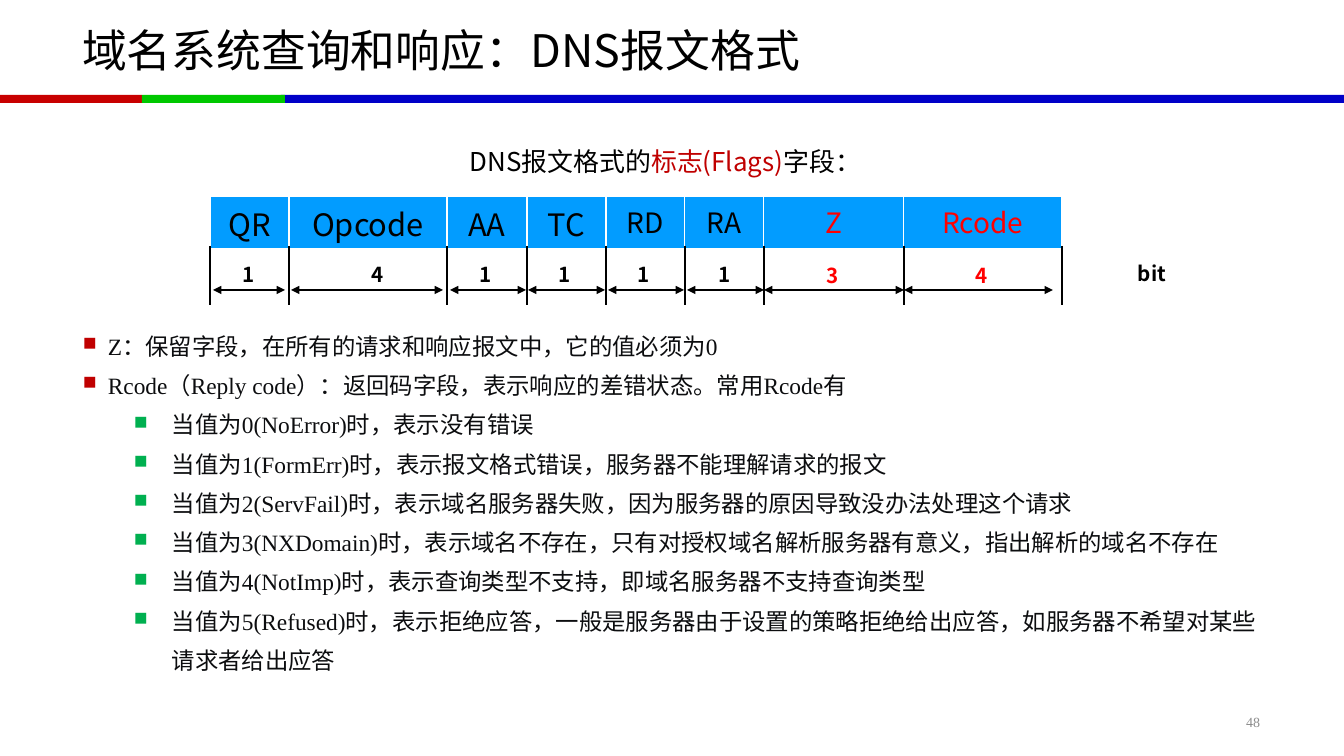
"""Builds a slide on the flag fields of the DNS message format."""
from itertools import accumulate

from lxml.etree import SubElement
from pptx import Presentation
from pptx.dml.color import RGBColor
from pptx.enum.shapes import MSO_CONNECTOR, MSO_SHAPE
from pptx.enum.text import MSO_ANCHOR, MSO_AUTO_SIZE, PP_ALIGN
from pptx.oxml.ns import qn
from pptx.util import Emu, Pt

TITLE = "域名系统查询和响应：DNS报文格式"
CAPTION = [("DNS报文格式的", "black"), ("标志(Flags)", "crimson"), ("字段：", "black")]
# name, bits, width, label centre, arrow gaps, name size, label top, colour
FIELDS = [
    ("QR", "1", 79, 249, (3, 4), "field", 255, "black"),
    ("Opcode", "4", 158, 378, (2, 4), "field", 255, "black"),
    ("AA", "1", 80, 486, (3, 1), "field", 255, "black"),
    ("TC", "1", 79, 565, (1, 1), "field", 255, "black"),
    ("RD", "1", 79, 644, (2, 1), "small_field", 255, "black"),
    ("RA", "1", 79, 725, (2, 0), "small_field", 255, "black"),
    ("Z", "3", 140, 833, (0, 0), "small_field", 256, "red"),
    ("Rcode", "4", 158, 982, (0, 9), "small_field", 256, "red"),
]
UNIT = ("bit", 1152, 254)
NOTES = [
    (0, "Z：保留字段，在所有的请求和响应报文中，它的值必须为0"),
    (0, "Rcode（Reply code）：返回码字段，表示响应的差错状态。常用Rcode有"),
    (1, "当值为0(NoError)时，表示没有错误"),
    (1, "当值为1(FormErr)时，表示报文格式错误，服务器不能理解请求的报文"),
    (1, "当值为2(ServFail)时，表示域名服务器失败，因为服务器的原因导致没办法处理这个请求"),
    (1, "当值为3(NXDomain)时，表示域名不存在，只有对授权域名解析服务器有意义，指出解析的域名不存在"),
    (1, "当值为4(NotImp)时，表示查询类型不支持，即域名服务器不支持查询类型"),
    (1, "当值为5(Refused)时，表示拒绝应答，一般是服务器由于设置的策略拒绝给出应答，如服务器不希望对某些请求者给出应答"),
]
PAGE = "48"
BARS = [(281, 1063, "bar_blue"), (0, 142, "bar_red"), (142, 143, "bar_green")]
NOTE_LEVELS = [(25, 25, "crimson"), (89, 38, "green")]
TABLE_LEFT, TABLE_TOP, ROW_HEIGHT = 210, 196, 54
TICK_TOP, TICK_BOTTOM, ARROW_Y = 246, 305, 290

THEME = {
    "sans": "Noto Sans CJK SC", "serif": "Times New Roman",
    "color": {"black": "000000", "ink": "0C0D0F", "crimson": "C00000", "red": "FF0000",
              "green": "00B050", "grey": "8C8C8C", "cell": "029CFF", "white": "FFFFFF",
              "bar_blue": "0000C8", "bar_red": "C80000", "bar_green": "00C800"},
    "size": {"title": 32, "caption": 18.5, "field": 22, "small_field": 20,
             "bits": 14.7, "note": 16.7, "page": 10},
}


def px(length):
    return Emu(round(length * 914400 / 100.8))


def color(name):
    return RGBColor.from_string(THEME["color"][name])


def style(run, size, tint, face="sans", bold=False):
    run.font.size = Pt(THEME["size"][size])
    run.font.color.rgb = color(tint)
    run.font.bold = bold
    run.font.name = THEME[face]
    east_asian = SubElement(run.font._element, qn("a:ea"))
    east_asian.set("typeface", THEME["sans"])


def add_box(slide, left, top, width, height, wrap=True, anchor=MSO_ANCHOR.TOP):
    frame = slide.shapes.add_textbox(px(left), px(top), px(width), px(height)).text_frame
    frame.word_wrap = wrap
    frame.vertical_anchor = anchor
    return frame


def add_line(slide, x1, y1, x2, y2, arrows=False):
    line = slide.shapes.add_connector(MSO_CONNECTOR.STRAIGHT, px(x1), px(y1), px(x2), px(y2))
    line.line.color.rgb = color("black")
    line.line.width = Pt(1)
    if arrows:
        for end in ("a:headEnd", "a:tailEnd"):
            SubElement(line.line._get_or_add_ln(), qn(end)).set("type", "triangle")
    SubElement(line._element.spPr, qn("a:effectLst"))


def add_bits(slide, label, centre, top, tint):
    width = 49 if label == UNIT[0] else 33
    frame = add_box(slide, centre - width / 2, top, width, 36, False, MSO_ANCHOR.MIDDLE)
    paragraph = frame.paragraphs[0]
    paragraph.text = label
    paragraph.alignment = PP_ALIGN.CENTER
    paragraph.line_spacing = Pt(20)
    style(paragraph.runs[0], "bits", tint, bold=True)


def fill_cell(cell, name, size, tint):
    cell.text = name
    paragraph = cell.text_frame.paragraphs[0]
    paragraph.alignment = PP_ALIGN.CENTER
    style(paragraph.runs[0], size, tint)
    properties = cell._tc.get_or_add_tcPr()
    for side, points in (("L", 1), ("R", 1), ("T", 1), ("B", 3)):
        border = SubElement(properties, qn("a:ln" + side), w=str(Pt(points)))
        paint = SubElement(border, qn("a:solidFill"))
        SubElement(paint, qn("a:srgbClr"), val=THEME["color"]["white"])
    cell.fill.solid()
    cell.fill.fore_color.rgb = color("cell")


def add_header(slide):
    for left, width, tint in BARS:
        bar = slide.shapes.add_shape(MSO_SHAPE.RECTANGLE, px(left), px(95), px(width), px(8))
        bar.shadow.inherit = False
        bar.fill.solid()
        bar.fill.fore_color.rgb = color(tint)
        bar.line.fill.background()
    title = slide.shapes.title
    title.left, title.top, title.width, title.height = px(72), px(7), px(1199), px(85)
    title.text_frame.text = TITLE
    title.text_frame.auto_size = MSO_AUTO_SIZE.NONE
    title.text_frame.vertical_anchor = MSO_ANCHOR.MIDDLE
    heading = title.text_frame.paragraphs[0]
    heading.alignment = PP_ALIGN.LEFT
    style(heading.runs[0], "title", "black")


def add_caption(slide):
    caption = add_box(slide, 460, 134, 465, 47).paragraphs[0]
    caption.alignment = PP_ALIGN.JUSTIFY
    caption.line_spacing = 1.2
    for part, tint in CAPTION:
        run = caption.add_run()
        run.text = part
        style(run, "caption", tint)


def add_flags(slide):
    widths = [field[2] for field in FIELDS]
    edges = list(accumulate(widths, initial=TABLE_LEFT))
    flags = slide.shapes.add_table(1, len(FIELDS), px(TABLE_LEFT), px(TABLE_TOP),
                                   px(sum(widths)), px(ROW_HEIGHT)).table
    flags.first_row = flags.horz_banding = False
    for index, (name, bits, width, centre, gaps, size, top, tint) in enumerate(FIELDS):
        flags.columns[index].width = px(width)
        fill_cell(flags.cell(0, index), name, size, tint)
        add_line(slide, edges[index] + gaps[0], ARROW_Y, edges[index + 1] - gaps[1], ARROW_Y, True)
        add_bits(slide, bits, centre, top, tint)
    for edge in edges:
        add_line(slide, edge, TICK_TOP, edge, TICK_BOTTOM)
    add_bits(slide, *UNIT, "black")


def add_notes(slide):
    frame = add_box(slide, 73, 316, 1198, 372)
    for index, (level, note) in enumerate(NOTES):
        paragraph = frame.add_paragraph() if index else frame.paragraphs[0]
        paragraph.text = note
        paragraph.line_spacing = 1.4
        margin, hanging, tint = NOTE_LEVELS[level]
        properties = paragraph._p.get_or_add_pPr()
        properties.set("marL", str(px(margin)))
        properties.set("indent", str(-px(hanging)))
        bullet_color = SubElement(properties, qn("a:buClr"))
        SubElement(bullet_color, qn("a:srgbClr"), val=THEME["color"][tint])
        SubElement(properties, qn("a:buSzPct"), val="80000")
        SubElement(properties, qn("a:buChar"), char="■")
        style(paragraph.runs[0], "note", "ink", "serif")


def add_page(slide):
    page = add_box(slide, 857, 707, 413, 30, anchor=MSO_ANCHOR.MIDDLE).paragraphs[0]
    page.text = PAGE
    page.alignment = PP_ALIGN.RIGHT
    style(page.runs[0], "page", "grey", "serif")


def main():
    deck = Presentation()
    deck.slide_width, deck.slide_height = px(1344), px(756)
    slide = deck.slides.add_slide(deck.slide_layouts[5])
    add_header(slide)
    add_caption(slide)
    add_flags(slide)
    add_notes(slide)
    add_page(slide)
    deck.save("out.pptx")


if __name__ == "__main__":
    main()
